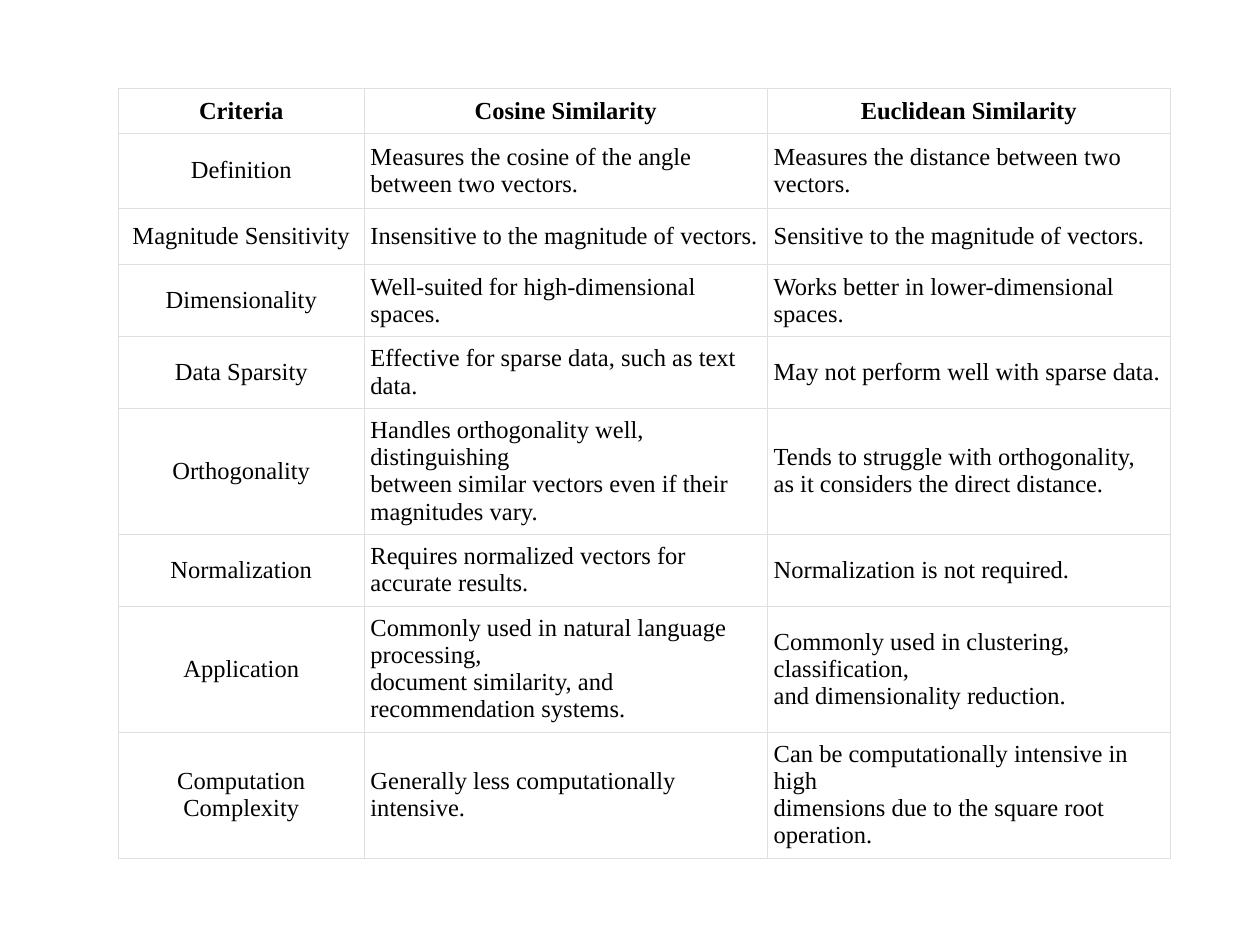
from lxml import etree
from pptx import Presentation
from pptx.dml.color import RGBColor
from pptx.enum.text import MSO_ANCHOR, PP_ALIGN
from pptx.oxml.ns import qn
from pptx.util import Inches, Pt

CENTER, LEFT = PP_ALIGN.CENTER, PP_ALIGN.LEFT
MIDDLE = MSO_ANCHOR.MIDDLE
BLANK_LAYOUT = 6
BORDER_COLOR, BORDER_WIDTH = "DFDFDF", Pt(0.15)

COLUMN_WIDTHS = [1.95, 3.2, 3.2]
HEADER, SHORT, TALL = 0.36, 0.57, 0.96

# Row height and the text of its three cells
ROWS = [
    (HEADER, "Criteria", "Cosine Similarity", "Euclidean Similarity"),
    (0.59, "Definition",
     "Measures the cosine of the angle between two vectors.",
     "Measures the distance between two vectors."),
    (0.45, "Magnitude Sensitivity",
     "Insensitive to the magnitude of vectors.",
     "Sensitive to the magnitude of vectors."),
    (SHORT, "Dimensionality",
     "Well-suited for high-dimensional spaces.",
     "Works better in lower-dimensional spaces."),
    (SHORT, "Data Sparsity",
     "Effective for sparse data, such as text data.",
     "May not perform well with sparse data."),
    (TALL, "Orthogonality",
     "Handles orthogonality well, distinguishing\n"
     "between similar vectors even if their magnitudes vary.",
     "Tends to struggle with orthogonality,\n"
     "as it considers the direct distance."),
    (SHORT, "Normalization",
     "Requires normalized vectors for accurate results.",
     "Normalization is not required."),
    (TALL, "Application",
     "Commonly used in natural language processing,\n"
     "document similarity, and recommendation systems.",
     "Commonly used in clustering, classification,\n"
     "and dimensionality reduction."),
    (TALL, "Computation Complexity",
     "Generally less computationally intensive.",
     "Can be computationally intensive in high\n"
     "dimensions due to the square root operation."),
]


def color(value):
    return RGBColor.from_string(value)


def add_borders(cell):
    properties = cell._tc.get_or_add_tcPr()
    for side in ("a:lnL", "a:lnR", "a:lnT", "a:lnB"):
        line = etree.SubElement(properties, qn(side), w=str(int(BORDER_WIDTH)))
        fill = etree.SubElement(line, qn("a:solidFill"))
        etree.SubElement(fill, qn("a:srgbClr"), val=BORDER_COLOR)


# Page
deck = Presentation()
deck.slide_width, deck.slide_height = Inches(10), Inches(7.5)
page = deck.slides.add_slide(deck.slide_layouts[BLANK_LAYOUT])

# Comparison table
table = page.shapes.add_table(
    len(ROWS), len(COLUMN_WIDTHS), Inches(0.94), Inches(0.7),
    Inches(sum(COLUMN_WIDTHS)), Inches(sum(row[0] for row in ROWS))).table
table.horz_banding = False
for column, width in zip(table.columns, COLUMN_WIDTHS):
    column.width = Inches(width)

# Cells: centred header row and criteria column, left-aligned descriptions
for row_index, (height, *texts) in enumerate(ROWS):
    table.rows[row_index].height = Inches(height)
    is_header = row_index == 0
    for column_index, text in enumerate(texts):
        is_criterion = column_index == 0
        cell = table.cell(row_index, column_index)
        add_borders(cell)
        cell.fill.solid()
        cell.fill.fore_color.rgb = color("FFFFFF")
        cell.vertical_anchor = MIDDLE
        cell.margin_left = cell.margin_right = Inches(
            0.03 if is_header and is_criterion else 0.05)
        cell.margin_top = cell.margin_bottom = Inches(0.05 if is_header else 0.07)

        para = cell.text_frame.paragraphs[0]
        para.text = text
        para.alignment = CENTER if is_header or is_criterion else LEFT
        para.font.name = "Times New Roman"
        para.font.size = Pt(14)
        para.font.bold = is_header
        para.font.color.rgb = color("000000")

deck.save("out.pptx")
